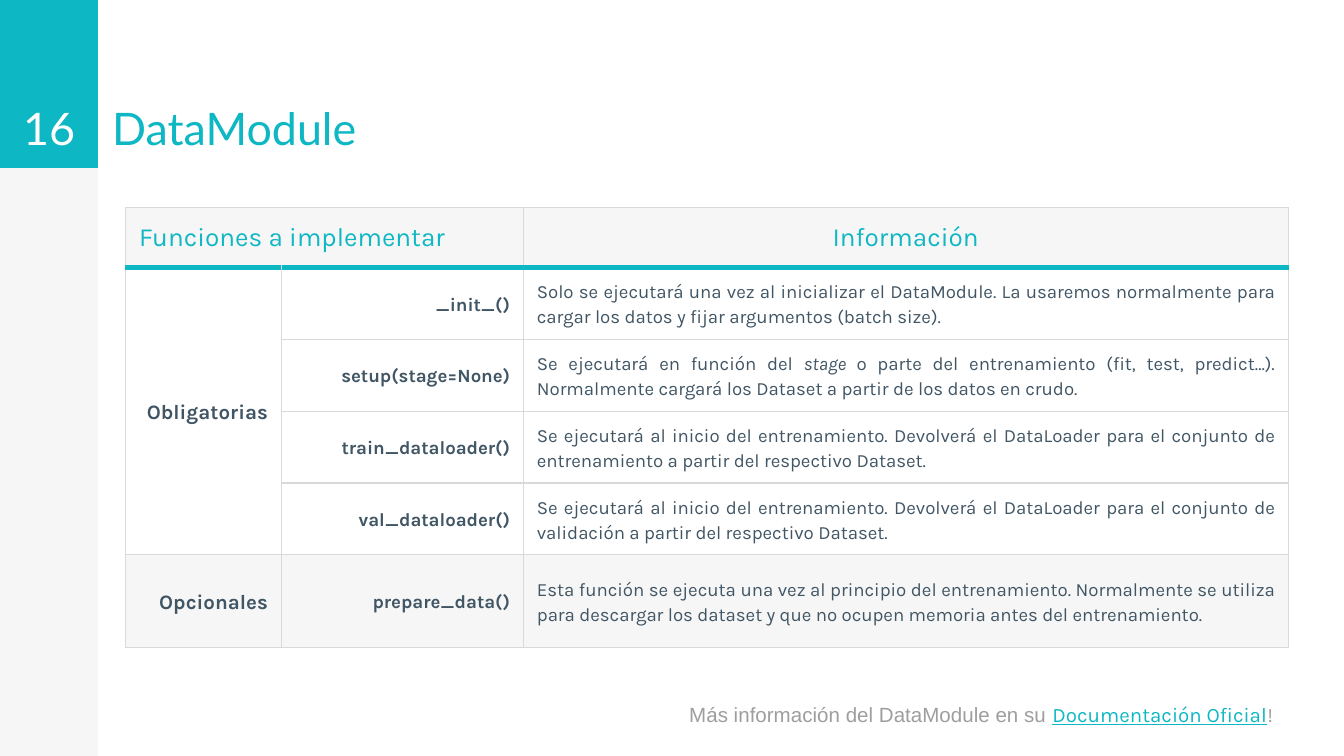
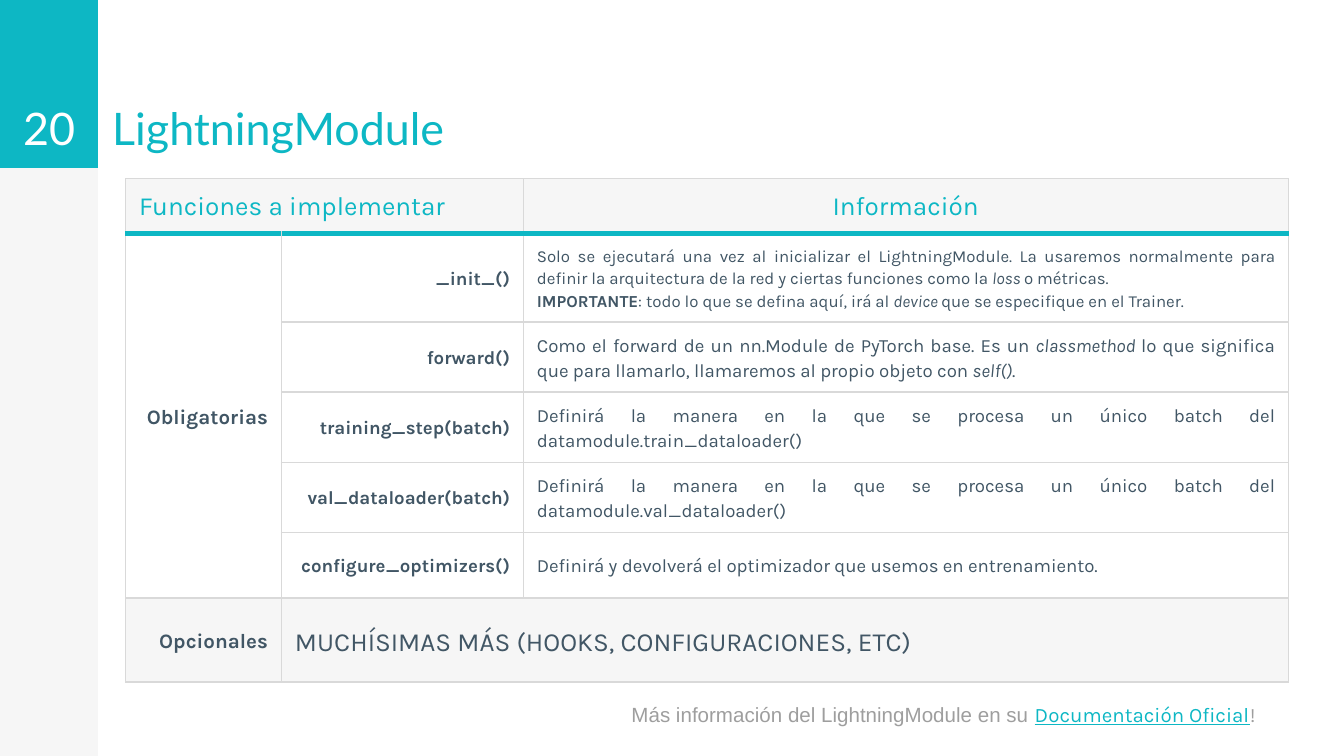
from collections import namedtuple

from lxml import etree
from pptx import Presentation
from pptx import util as u
from pptx.dml.color import RGBColor
from pptx.enum import shapes, text
from pptx.oxml import ns

PX = 4572
SLIDE_W, SLIDE_H = 2000, 1125
TEAL, PALE, WHITE = "0DB7C4", "F6F6F6", "FFFFFF"
SLATE, GREY, RULE = "415665", "9E9E9E", "D9D9D9"
HEADING_FONT, BODY_FONT, NOTE_FONT = "Lato", "Karla", "Arial"
COLUMNS = [232, 360, 1138]
TABLE_LEFT = 187
INSET, CELL_INSET = 20, 15
ALIGN, ANCHOR = text.PP_ALIGN, text.MSO_ANCHOR

Box = namedtuple("Box", "x y w h")
Function = namedtuple("Function", "name info size", defaults=(10,))

SIDEBAR = Box(0, 0, 146, SLIDE_H)
NUMBER_BAND = Box(0, 0, 146, 250)
TITLE = Box(147, 154, 1120, 96)


def color(value):
    return RGBColor.from_string(value)


def emu(box):
    return [u.Emu(side * PX) for side in box]


def add_run(paragraph, words, size, ink, font=BODY_FONT, style=""):
    run = paragraph.add_run()
    run.text = words
    run.font.name = font
    run.font.size = u.Pt(size)
    run.font.color.rgb = color(ink)
    run.font.bold = "b" in style
    run.font.italic = "i" in style
    run.font.underline = "u" in style


def prepare_frame(frame, anchor):
    frame.word_wrap = True
    frame.auto_size = text.MSO_AUTO_SIZE.NONE
    frame.vertical_anchor = anchor
    frame.margin_left = frame.margin_right = u.Emu(INSET * PX)
    frame.margin_top = frame.margin_bottom = u.Emu(INSET * PX)
    return frame.paragraphs[0]


def add_band(slide, box, fill):
    band = slide.shapes.add_shape(shapes.MSO_SHAPE.RECTANGLE, *emu(box))
    band.shadow.inherit = False
    band.fill.solid()
    band.fill.fore_color.rgb = color(fill)
    band.line.fill.background()


def add_text_area(slide, box, anchor):
    area = slide.shapes.add_textbox(*emu(box))
    return prepare_frame(area.text_frame, anchor)


def add_heading(slide, number, title):
    add_band(slide, SIDEBAR, PALE)
    add_band(slide, NUMBER_BAND, TEAL)
    page = add_text_area(slide, NUMBER_BAND, ANCHOR.BOTTOM)
    page.alignment = ALIGN.CENTER
    add_run(page, number, 24, WHITE, HEADING_FONT)

    heading = slide.shapes.title
    heading.left, heading.top, heading.width, heading.height = emu(TITLE)
    line = prepare_frame(heading.text_frame, ANCHOR.BOTTOM)
    line.alignment = ALIGN.LEFT
    add_run(line, title, 24, TEAL, HEADING_FONT)


def add_footer(slide, box, module):
    note = add_text_area(slide, box, ANCHOR.TOP)
    add_run(note, f"Más información del {module} en su ", 11, GREY, NOTE_FONT)
    add_run(note, "Documentación Oficial", 11, TEAL, style="u")
    add_run(note, "!", 11, GREY)


def set_borders(cell, top, bottom):
    props = cell._tc.get_or_add_tcPr()
    sides = {"L": (RULE, 0.75), "R": (RULE, 0.75), "T": top, "B": bottom}
    for place, (side, (ink, width)) in enumerate(sides.items()):
        line = etree.Element(ns.qn(f"a:ln{side}"), w=str(u.Pt(width)))
        fill = etree.SubElement(line, ns.qn("a:solidFill"))
        etree.SubElement(fill, ns.qn("a:srgbClr"), val=ink)
        props.insert(place, line)


def style_cell(cell, row, last_row):
    cell.fill.solid()
    cell.fill.fore_color.rgb = color(PALE if row in (0, last_row) else WHITE)
    cell.vertical_anchor = ANCHOR.MIDDLE
    cell.margin_left = cell.margin_right = u.Emu(INSET * PX)
    cell.margin_top = cell.margin_bottom = u.Emu(CELL_INSET * PX)
    thin, thick = (RULE, 0.75), (TEAL, 3)
    set_borders(cell, thick if row == 1 else thin, thick if row == 0 else thin)


def write_cell(cell, paragraphs, size, align, ink=SLATE, spacing=1.15):
    frame = cell.text_frame
    for index, runs in enumerate(paragraphs):
        line = frame.add_paragraph() if index else frame.paragraphs[0]
        line.alignment = align
        line.line_spacing = spacing
        for words, style in runs:
            add_run(line, words, size, ink, style=style)


def add_function_table(slide, x, y, heights, functions):
    last = len(functions)
    box = Box(x, y, sum(COLUMNS), sum(heights))
    table = slide.shapes.add_table(last + 1, len(COLUMNS), *emu(box)).table
    table.first_row = table.horz_banding = False
    for column, width in zip(table.columns, COLUMNS):
        column.width = u.Emu(width * PX)
    for row, height in zip(table.rows, heights):
        row.height = u.Emu(height * PX)
    for row in range(last + 1):
        for column in range(len(COLUMNS)):
            style_cell(table.cell(row, column), row, last)

    table.cell(0, 0).merge(table.cell(0, 1))
    table.cell(1, 0).merge(table.cell(last - 1, 0))
    write_cell(table.cell(0, 0), [[("Funciones a implementar", "")]], 14, ALIGN.LEFT, TEAL, 1.0)
    write_cell(table.cell(0, 2), [[("Información", "")]], 14, ALIGN.CENTER, TEAL, 1.0)
    for row, group in ((1, "Obligatorias"), (last, "Opcionales")):
        write_cell(table.cell(row, 0), [[(group, "b")]], 11, ALIGN.RIGHT)

    for row, function in enumerate(functions, 1):
        if function.name:
            write_cell(table.cell(row, 1), [[(function.name, "b")]], 10, ALIGN.RIGHT)
            write_cell(table.cell(row, 2), function.info, function.size, ALIGN.JUSTIFY)
        else:
            table.cell(row, 1).merge(table.cell(row, 2))
            write_cell(table.cell(row, 1), function.info, function.size, ALIGN.LEFT)


def add_module_slide(deck, number, module, table_top, heights, functions, footer):
    slide = deck.slides.add_slide(deck.slide_layouts[5])
    add_heading(slide, number, module)
    add_function_table(slide, TABLE_LEFT, table_top, heights, functions)
    add_footer(slide, footer, module)


def plain(words):
    return [[(words, "")]]


def loader_info(purpose):
    return plain("Se ejecutará al inicio del entrenamiento. Devolverá el DataLoader para el "
                 f"conjunto de {purpose} a partir del respectivo Dataset.")


def step_info(loader):
    return plain("Definirá la manera en la que se procesa un único batch del "
                 f"datamodule.{loader}()")


DATA_FUNCTIONS = [
    Function("_init_()", plain(
        "Solo se ejecutará una vez al inicializar el DataModule. La usaremos normalmente "
        "para cargar los datos y fijar argumentos (batch size).")),
    Function("setup(stage=None)", [[
        ("Se ejecutará en función del ", ""),
        ("stage ", "i"),
        ("o parte del entrenamiento (fit, test, predict…). Normalmente cargará los Dataset "
         "a partir de los datos en crudo.", "")]]),
    Function("train_dataloader()", loader_info("entrenamiento")),
    Function("val_dataloader()", loader_info("validación")),
    Function("prepare_data()", plain(
        "Esta función se ejecuta una vez al principio del entrenamiento. Normalmente se "
        "utiliza para descargar los dataset y que no ocupen memoria antes del "
        "entrenamiento.")),
]

LIGHTNING_FUNCTIONS = [
    Function("_init_()", [
        [("Solo se ejecutará una vez al inicializar el LightningModule. La usaremos "
          "normalmente para definir la arquitectura de la red y ciertas funciones como la ", ""),
         ("loss ", "i"),
         ("o métricas. ", "")],
        [("IMPORTANTE", "b"),
         (": todo lo que se defina aquí, irá al ", ""),
         ("device ", "i"),
         ("que se especifique en el Trainer.", "")]], 9),
    Function("forward()", [[
        ("Como el forward de un nn.Module de PyTorch base. Es un ", ""),
        ("classmethod ", "i"),
        ("lo que significa que para llamarlo, llamaremos al propio objeto con ", ""),
        ("self()", "i"),
        (".", "")]]),
    Function("training_step(batch)", step_info("train_dataloader")),
    Function("val_dataloader(batch)", step_info("val_dataloader")),
    Function("configure_optimizers()", plain(
        "Definirá y devolverá el optimizador que usemos en entrenamiento.")),
    Function(None, plain("MUCHÍSIMAS MÁS (HOOKS, CONFIGURACIONES, ETC)"), 14),
]


def main():
    deck = Presentation()
    deck.slide_width, deck.slide_height = emu((SLIDE_W, SLIDE_H))
    add_module_slide(deck, "16", "DataModule", 309, [89] + [107] * 4 + [138],
                     DATA_FUNCTIONS, Box(1006, 1025, 912, 78))
    add_module_slide(deck, "20", "LightningModule", 266, [82, 122] + [98] * 4 + [125],
                     LIGHTNING_FUNCTIONS, Box(920, 1025, 998, 78))
    deck.save("out.pptx")


if __name__ == "__main__":
    main()
